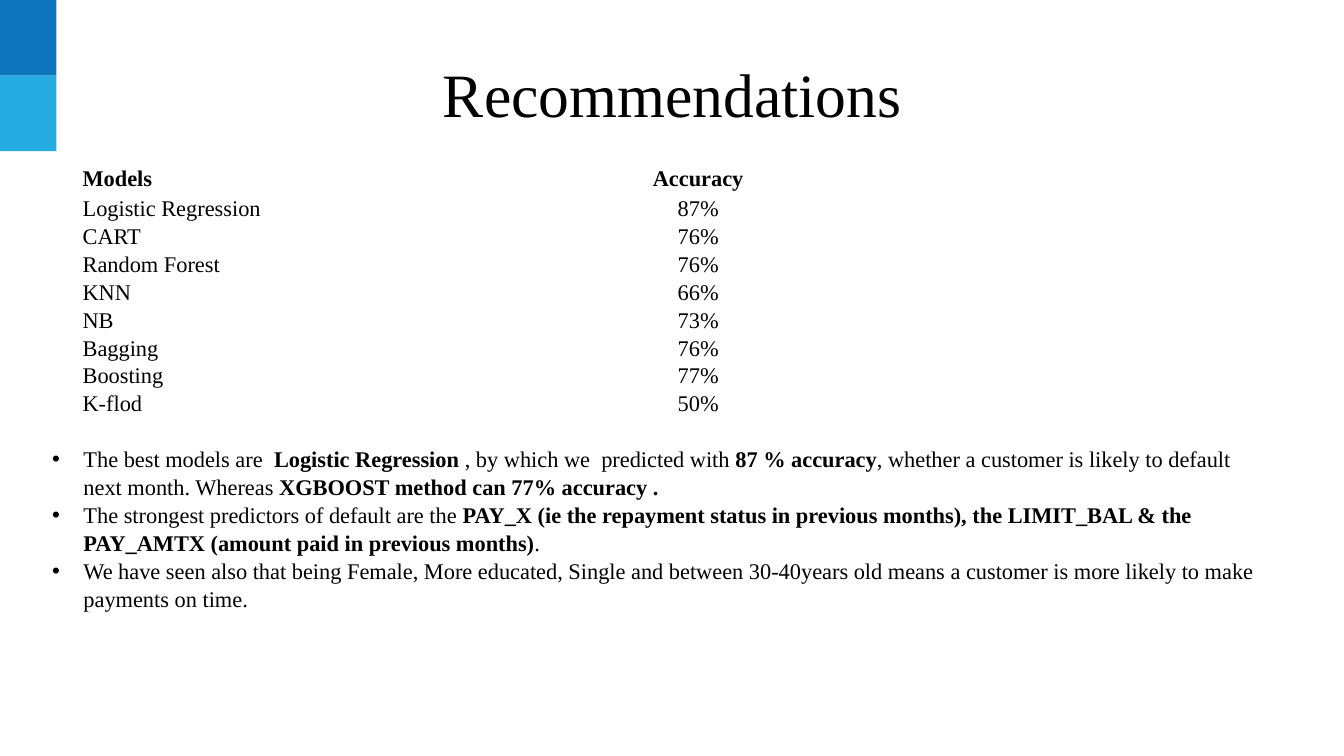
import pptx
import pptx.dml.color
import pptx.enum.shapes
import pptx.enum.text
import pptx.oxml.ns
import pptx.util
from lxml import etree

Inches = pptx.util.Inches
ALIGN = pptx.enum.text.PP_ALIGN
MIDDLE = pptx.enum.text.MSO_ANCHOR.MIDDLE
FONT = "Times New Roman"

MODELS = [
    ("Models", "Accuracy"),
    ("Logistic Regression", "87%"),
    ("CART", "76%"),
    ("Random Forest", "76%"),
    ("KNN", "66%"),
    ("NB", "73%"),
    ("Bagging", "76%"),
    ("Boosting", "77%"),
    ("K-flod", "50%"),
]

# Each finding is a list of pieces; every second piece is bold.
FINDINGS = [
    ["The best models are  ", "Logistic Regression",
     " , by which we  predicted with ", "87 % accuracy",
     ", whether a customer is likely to default next month. Whereas ",
     "XGBOOST method can 77% accuracy ."],
    ["The strongest predictors of default are the ",
     "PAY_X (ie the repayment status in previous months), the LIMIT_BAL & the "
     "PAY_AMTX (amount paid in previous months)", "."],
    ["We have seen also that being Female, More educated, Single and between "
     "30-40years old means a customer is more likely to make payments on time."],
]


def color(hex_code):
    """Turn a hex string into a colour."""
    return pptx.dml.color.RGBColor.from_string(hex_code)


def style(run, size, bold=False):
    """Give a run the deck font in black."""
    run.font.name = FONT
    run.font.size = pptx.util.Pt(size)
    run.font.bold = bold
    run.font.color.rgb = color("000000")


def add_corner(slide, left, top, width, height):
    """Stack the two blue blocks of the corner."""
    block_height = height / 2
    for level, fill in enumerate(("0F75BD", "25AAE2")):
        block = slide.shapes.add_shape(
            pptx.enum.shapes.MSO_SHAPE.RECTANGLE, Inches(left),
            Inches(top + level * block_height), Inches(width), Inches(block_height))
        block.shadow.inherit = False
        block.fill.solid()
        block.fill.fore_color.rgb = color(fill)
        block.line.fill.background()


def set_heading(slide, left, top, width, height):
    """Place and format the slide title."""
    heading = slide.shapes.title
    heading.left, heading.top = Inches(left), Inches(top)
    heading.width, heading.height = Inches(width), Inches(height)
    frame = heading.text_frame
    frame.text = "Recommendations"
    frame.auto_size = pptx.enum.text.MSO_AUTO_SIZE.NONE
    frame.vertical_anchor = MIDDLE
    frame.paragraphs[0].alignment = ALIGN.CENTER
    style(frame.paragraphs[0].runs[0], 44)


def add_accuracy_table(slide, left, top, width, height):
    """Add the plain table of models and their accuracy."""
    table = slide.shapes.add_table(
        len(MODELS), 2, Inches(left), Inches(top), Inches(width), Inches(height)).table
    table.first_row = table.horz_banding = False
    model_width, header_height = 0.55 * width, 0.31
    table.columns[0].width = Inches(model_width)
    table.columns[1].width = Inches(width - model_width)
    row_height = (height - header_height) / (len(MODELS) - 1)
    for r, entry in enumerate(MODELS):
        table.rows[r].height = Inches(row_height if r else header_height)
        for c, value in enumerate(entry):
            cell = table.cell(r, c)
            cell.fill.background()
            cell.vertical_anchor = MIDDLE
            cell.margin_left = cell.margin_right = cell.margin_top = Inches(0.01)
            cell.margin_bottom = 0
            cell.text_frame.text = value
            paragraph = cell.text_frame.paragraphs[0]
            paragraph.alignment = ALIGN.CENTER if c else ALIGN.LEFT
            style(paragraph.runs[0], 16, bold=r == 0)


def add_bullet(paragraph, indent):
    """Give a paragraph a hanging round bullet."""
    properties = paragraph._p.get_or_add_pPr()
    properties.set("marL", str(Inches(indent)))
    properties.set("indent", str(-Inches(indent)))
    font = etree.SubElement(properties, pptx.oxml.ns.qn("a:buFont"))
    font.set("typeface", "Arial")
    etree.SubElement(properties, pptx.oxml.ns.qn("a:buChar")).set("char", "•")


def add_findings(slide, left, top, width, height):
    """Add the bulleted findings."""
    frame = slide.shapes.add_textbox(
        Inches(left), Inches(top), Inches(width), Inches(height)).text_frame
    frame.word_wrap = True
    for number, pieces in enumerate(FINDINGS):
        paragraph = frame.add_paragraph() if number else frame.paragraphs[0]
        paragraph.line_spacing = 1.04
        add_bullet(paragraph, 0.31)
        for position, piece in enumerate(pieces):
            run = paragraph.add_run()
            run.text = piece
            style(run, 16, bold=position % 2 == 1)


def build_recommendations(presentation):
    """Build the recommendations slide."""
    slide = presentation.slides.add_slide(presentation.slide_layouts[5])
    add_corner(slide, 0, 0, 0.56, 1.5)
    set_heading(slide, 0.67, 0.3, 12, 1.25)
    add_findings(slide, 0.42, 4.36, 12.24, 1.7)
    add_accuracy_table(slide, 0.81, 1.62, 7.89, 2.51)


presentation = pptx.Presentation()
presentation.slide_width = Inches(13.33)
presentation.slide_height = Inches(7.5)
build_recommendations(presentation)
presentation.save("out.pptx")
